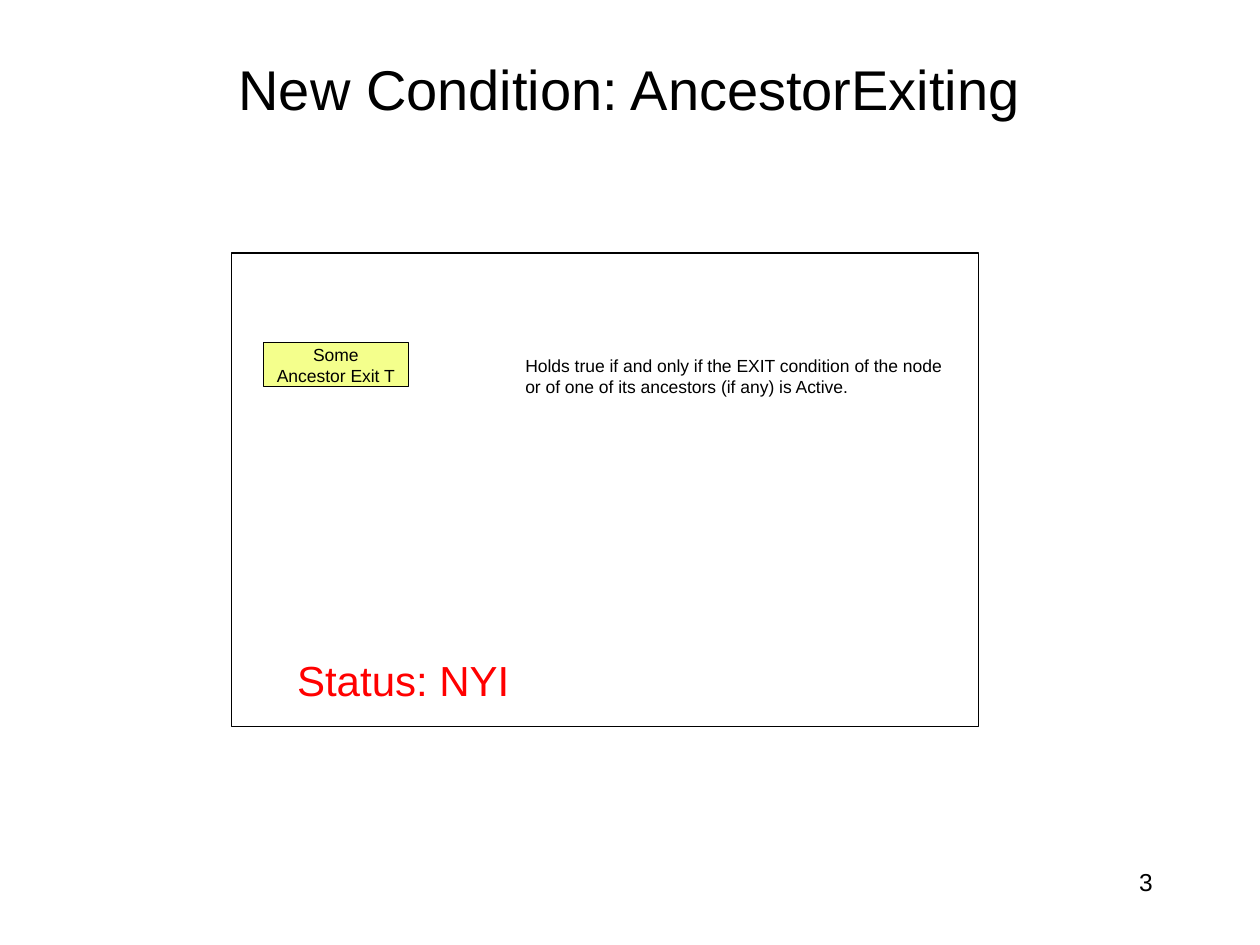
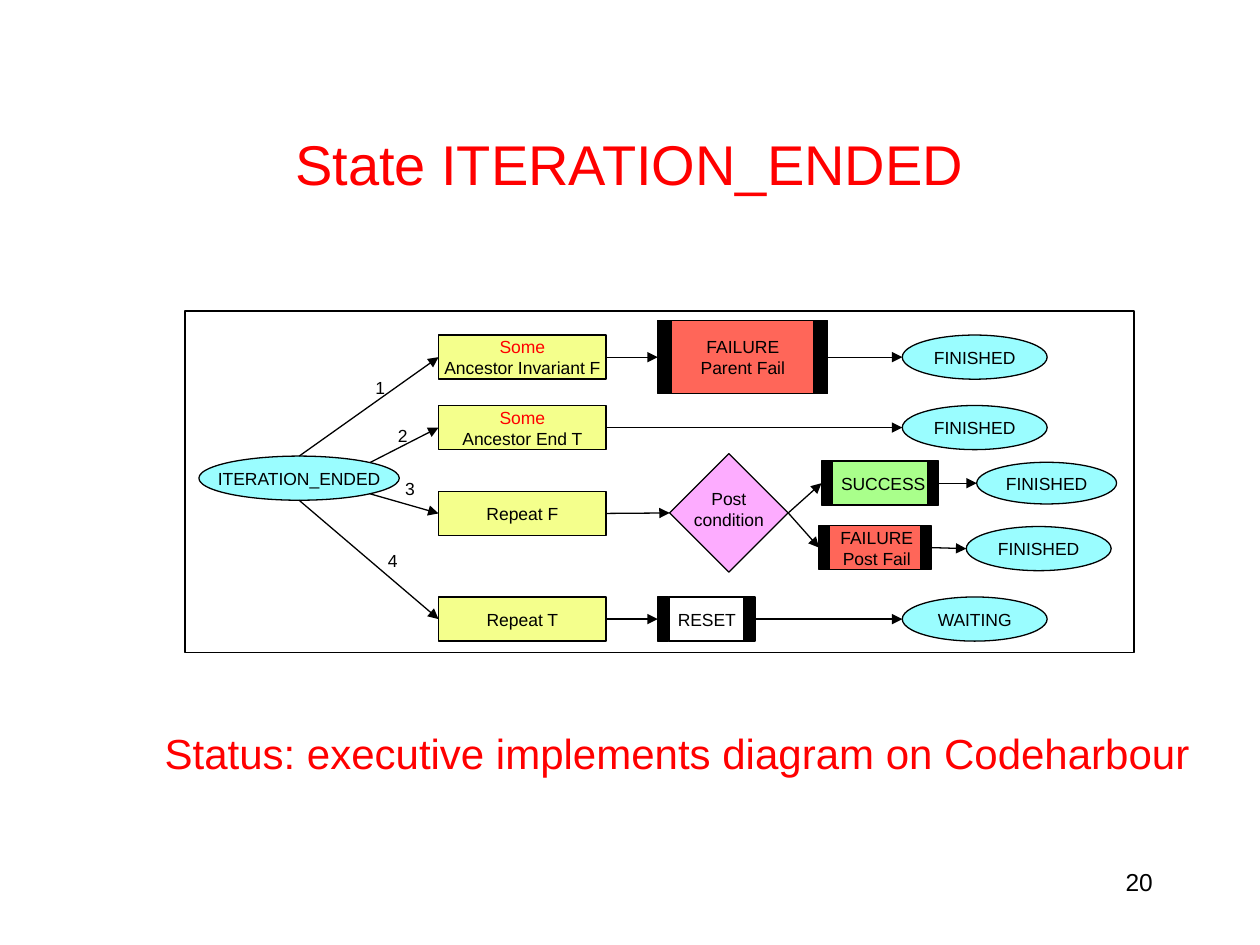
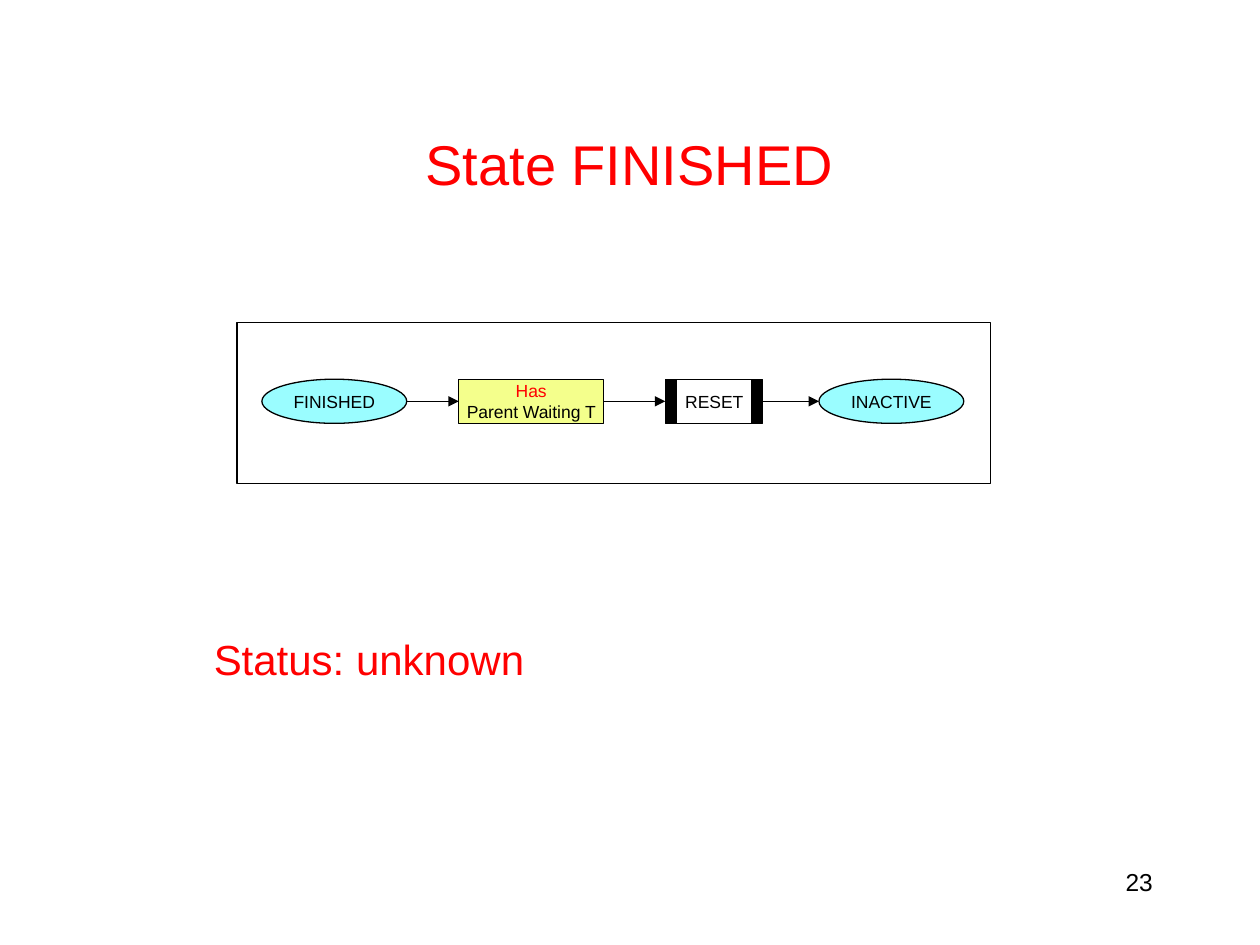
import math

import pptx
import pptx.dml.color
import pptx.enum.shapes
import pptx.enum.text
import pptx.oxml
import pptx.oxml.ns
import pptx.util

Cm = pptx.util.Cm
SHAPE = pptx.enum.shapes.MSO_SHAPE
ALIGN = pptx.enum.text.PP_ALIGN
ANCHOR = pptx.enum.text.MSO_ANCHOR

COLORS = {
    "black": "000000",
    "red": "FF0000",
    "condition": "F4FF8C",
    "state": "9AFDFF",
    "failure": "FF6659",
    "success": "A9FF8B",
    "check": "FDACFF",
}
FONT = "Arial"
NODE_HEIGHT = 0.89
NODE_WIDTH = 2.92
LINE_WIDTH = pptx.util.Pt(0.75)
INSETS = {
    "margin_left": Cm(0.25), "margin_right": Cm(0.25),
    "margin_top": Cm(0.13), "margin_bottom": Cm(0.13),
}


def color(name):
    return pptx.dml.color.RGBColor.from_string(COLORS[name])


def apply(target, values):
    for name, value in values.items():
        setattr(target, name, value)


def write(box, lines, size=10, align=ALIGN.LEFT, anchor=ANCHOR.TOP,
          wrap=False, spacing=None, ink="black", lead=None):
    """Fill a box with one paragraph per line; lead colours the first line."""
    frame = box.text_frame
    apply(frame, {**INSETS, "word_wrap": wrap, "vertical_anchor": anchor})
    for index, line in enumerate(lines):
        para = frame.add_paragraph() if index else frame.paragraphs[0]
        apply(para, {"alignment": align, "line_spacing": spacing})
        span = para.add_run()
        span.text = line
        apply(span.font, {"name": FONT, "size": pptx.util.Pt(size)})
        span.font.color.rgb = color(lead if lead and index == 0 else ink)


# Text elements

def text(page, left, top, width, height, lines, **style):
    box = page.shapes.add_textbox(Cm(left), Cm(top), Cm(width), Cm(height))
    write(box, lines, **style)


def status(page, left, top, width, line):
    text(page, left, top, width, 1.24, [line], size=24, spacing=0.97,
         ink="red", wrap=True)


def start_page(deck, title, number, title_top=1.7, ink="red"):
    page = deck.slides.add_slide(deck.slide_layouts[6])
    text(page, 1.9, title_top, 21.59, 3.18, [title], size=32, ink=ink,
         align=ALIGN.CENTER, anchor=ANCHOR.MIDDLE, wrap=True)
    text(page, 18.21, 17.35, 5.28, 1.27, [str(number)], size=14,
         align=ALIGN.RIGHT, wrap=True)
    return page


# Diagram elements

def outline(parent, kind, left, top, width, height, fill=None):
    shape = parent.shapes.add_shape(kind, Cm(left), Cm(top), Cm(width), Cm(height))
    shape.shadow.inherit = False
    if fill:
        shape.fill.solid()
        shape.fill.fore_color.rgb = color(fill)
    else:
        shape.fill.background()
    shape.line.color.rgb = color("black")
    shape.line.width = LINE_WIDTH
    return shape


def frame_box(page, left, top, width, height):
    outline(page, SHAPE.RECTANGLE, left, top, width, height)


def node(parent, kind, left, middle, width, lines, fill=None,
         height=NODE_HEIGHT, lead=None):
    shape = outline(parent, kind, left, middle - height / 2, width, height, fill)
    write(shape, lines, align=ALIGN.CENTER, anchor=ANCHOR.MIDDLE, lead=lead)
    return shape


def condition(page, left, middle, lines, width=NODE_WIDTH, lead=None):
    return node(page, SHAPE.RECTANGLE, left, middle, width, lines, "condition",
                lead=lead)


def state(page, left, middle, name, width=NODE_WIDTH, height=NODE_HEIGHT):
    return node(page, SHAPE.OVAL, left, middle, width, [name], "state", height)


def barred(page, left, middle, width, body_left, body_width, lines,
           fill=None, height=NODE_HEIGHT, bar=0.22):
    """Group a labelled body with a black bar at each end."""
    group = page.shapes.add_group_shape()
    node(group, SHAPE.RECTANGLE, body_left, middle, body_width, lines, fill, height)
    for bar_left in (left, left + width - bar):
        outline(group, SHAPE.RECTANGLE, bar_left, middle - height / 2,
                bar, height, "black")
    return group


def reset(page, left, middle):
    return barred(page, left, middle, 1.96, left + 0.23, 1.52, ["RESET"])


def point(shape, across, down):
    """Point on a shape, with -1 to 1 running from edge to edge."""
    return (round(shape.left + shape.width * (1 + across) / 2),
            round(shape.top + shape.height * (1 + down) / 2))


def arrow(page, source, target, exit_at=(1, 0)):
    link = page.shapes.add_connector(
        pptx.enum.shapes.MSO_CONNECTOR.STRAIGHT,
        *point(source, *exit_at), *point(target, -1, 0))
    link.line.color.rgb = color("black")
    link.line.width = LINE_WIDTH
    properties = link.element.spPr
    namespace = pptx.oxml.ns.nsdecls("a")
    properties.find(pptx.oxml.ns.qn("a:ln")).append(
        pptx.oxml.parse_xml(f'<a:tailEnd {namespace} type="triangle"/>'))
    properties.append(pptx.oxml.parse_xml(f"<a:effectLst {namespace}/>"))


def chain(page, *shapes):
    for source, target in zip(shapes, shapes[1:]):
        arrow(page, source, target)


# Slides

def ancestor_exiting(deck):
    page = start_page(deck, "New Condition: AncestorExiting", 3, 0.18, "black")
    condition(page, 5.31, 7.35, ["Some", "Ancestor Exit T"])
    text(page, 10.34, 7.03, 9.14, 1.12,
         ["Holds true if and only if the EXIT condition of the node "
          "or of one of its ancestors (if any) is Active."], wrap=True)
    frame_box(page, 4.67, 5.1, 15.06, 9.55)
    status(page, 5.74, 13.13, 5.2, "Status: NYI")


def iteration_ended(deck):
    page = start_page(deck, "State ITERATION_ENDED", 20)
    frame_box(page, 3.73, 6.27, 19.13, 6.88)
    start = state(page, 4.01, 9.64, "ITERATION_ENDED", 4.04)

    # Numbered branches: middle, lines, lead colour, exit point, label place
    slant = math.sqrt(0.5)
    branches = [
        (7.2, ["Some", "Ancestor Invariant F"], "red", (0, -1), (7.32, 7.47)),
        (8.62, ["Some", "Ancestor End T"], "red", (slant, -slant), (7.77, 8.43)),
        (10.35, ["Repeat F"], None, (slant, slant), (7.92, 9.5)),
        (12.48, ["Repeat T"], None, (0, 1), (7.57, 10.95)),
    ]
    checks = []
    for number, (middle, lines, lead, exit_at, place) in enumerate(branches, 1):
        check = condition(page, 8.84, middle, lines, 3.38, lead)
        arrow(page, start, check, exit_at)
        text(page, *place, 0.71, 0.89, [str(number)])
        checks.append(check)
    invariant, end, repeat_false, repeat_true = checks

    # Branches with one outcome
    parent_fail = barred(page, 13.26, 7.2, 3.43, 13.31, 3.33,
                         ["FAILURE", "Parent Fail"], "failure", 1.47, 0.28)
    chain(page, invariant, parent_fail, state(page, 18.19, 7.2, "FINISHED"))
    chain(page, end, state(page, 18.19, 8.62, "FINISHED"))
    chain(page, repeat_true, reset(page, 13.26, 12.48),
          state(page, 18.19, 12.48, "WAITING"))

    # Post condition with two outcomes
    post = node(page, SHAPE.DIAMOND, 13.5, 10.34, 2.39, ["Post", "condition"],
                "check", 2.39)
    post.text_frame.margin_bottom = Cm(0.3)
    success = barred(page, 16.56, 9.74, 2.36, 16.79, 2.03, ["SUCCESS"], "success")
    post_fail = barred(page, 16.51, 11.04, 2.26, 16.66, 2.03,
                       ["FAILURE", "Post Fail"], "failure")
    chain(page, repeat_false, post, success,
          state(page, 19.69, 9.74, "FINISHED", 2.82, 0.84))
    chain(page, post, post_fail, state(page, 19.48, 11.06, "FINISHED"))
    status(page, 3.07, 14.6, 21.8,
           "Status: executive implements diagram on Codeharbour")


def finished(deck):
    page = start_page(deck, "State FINISHED", 23)
    frame_box(page, 4.78, 6.5, 15.19, 3.25)
    middle = 8.09
    chain(page,
          state(page, 5.28, middle, "FINISHED"),
          condition(page, 9.25, middle, ["Has", "Parent Waiting T"], lead="red"),
          reset(page, 13.41, middle),
          state(page, 16.51, middle, "INACTIVE"))
    status(page, 4.06, 12.7, 7.2, "Status: unknown")


def main():
    deck = pptx.Presentation()
    apply(deck, {"slide_width": Cm(25.4), "slide_height": Cm(19.05)})
    ancestor_exiting(deck)
    iteration_ended(deck)
    finished(deck)
    deck.save("out.pptx")


if __name__ == "__main__":
    main()
